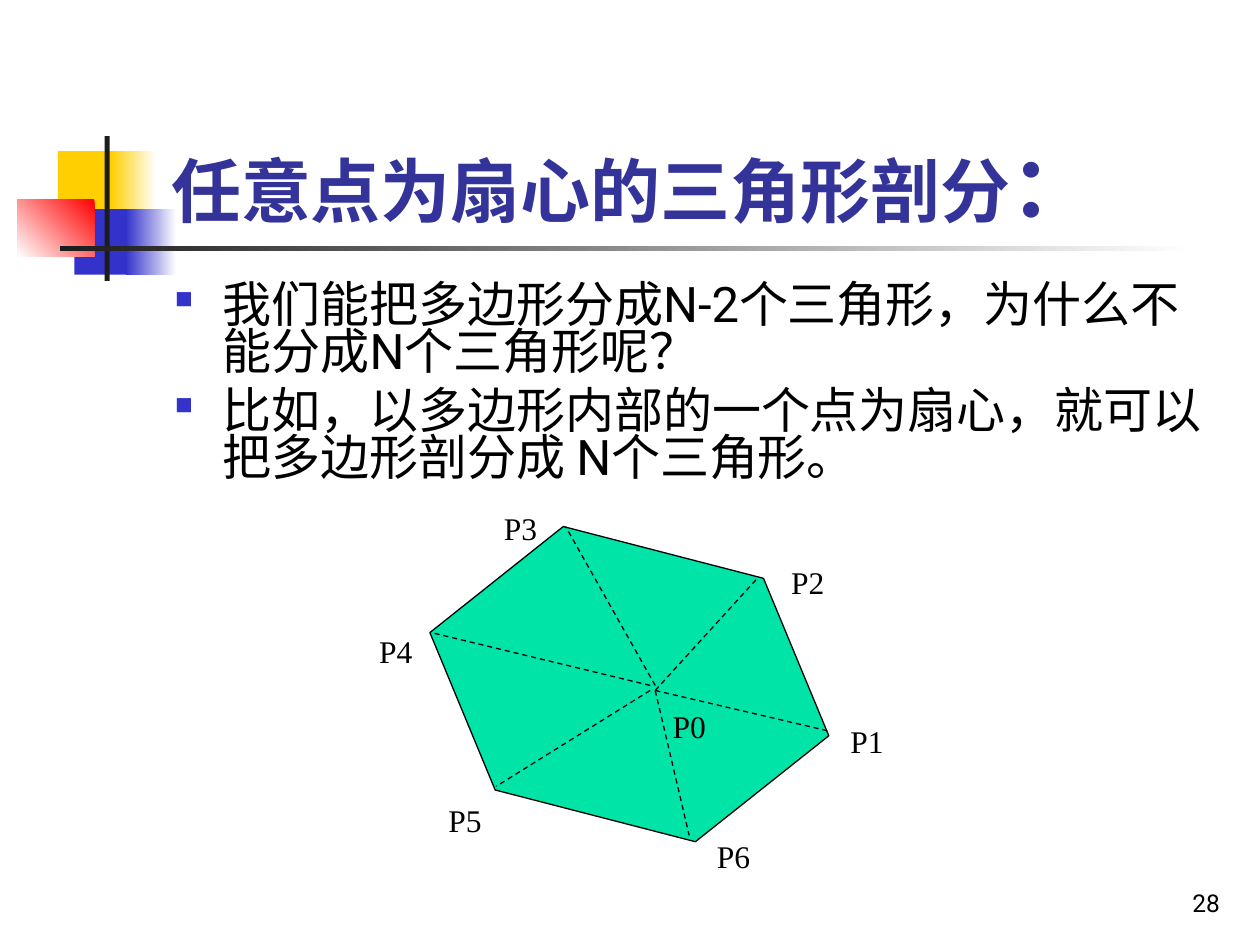
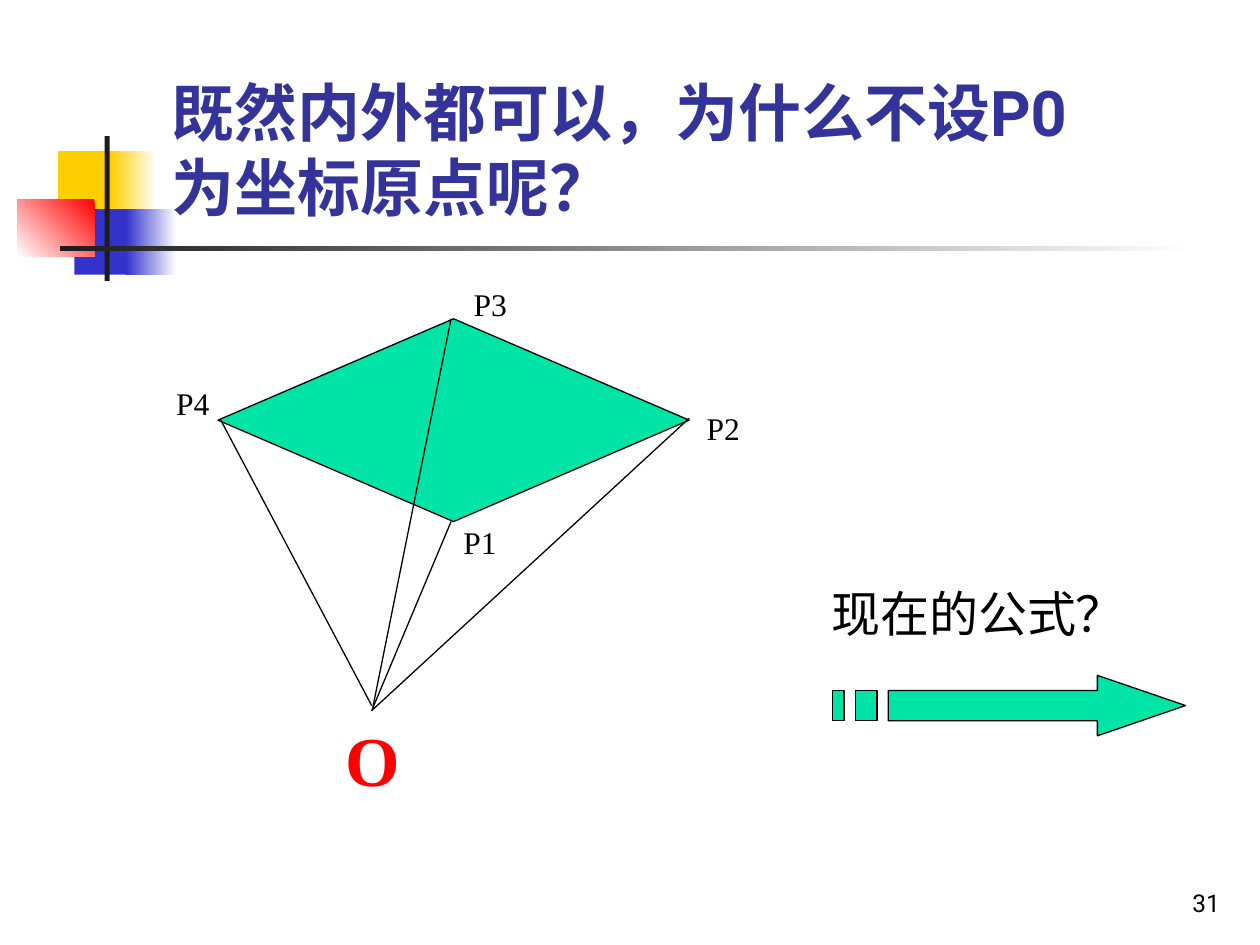
from lxml import etree
from pptx import Presentation
from pptx.dml.color import RGBColor
from pptx.enum.dml import MSO_LINE
from pptx.enum.shapes import MSO_CONNECTOR, MSO_SHAPE
from pptx.enum.text import MSO_ANCHOR, PP_ALIGN
from pptx.oxml.ns import qn
from pptx.util import Inches, Pt

RECT, HEXAGON, DIAMOND = MSO_SHAPE.RECTANGLE, MSO_SHAPE.HEXAGON, MSO_SHAPE.DIAMOND
STRAIGHT, DASH = MSO_CONNECTOR.STRAIGHT, MSO_LINE.DASH
TOP, BOTTOM = MSO_ANCHOR.TOP, MSO_ANCHOR.BOTTOM
LEFT, RIGHT = PP_ALIGN.LEFT, PP_ALIGN.RIGHT

SANS, SERIF = "Roboto", "Times New Roman"
BLACK, WHITE, DARK = "000000", "FFFFFF", "1C1C1C"
YELLOW, BLUE, RED = "FFCF01", "3333CC", "FF0000"
TITLE_COLOR, GREEN = "333399", "00E4A8"

# Decoration on every slide: box, fill (one colour, or start, end, angle)
DECORATION = [
    ((0.46, 1.2, 0.48, 0.52), YELLOW),
    ((0.88, 1.2, 0.36, 0.52), (WHITE, YELLOW, 180)),
    ((0.59, 1.66, 0.46, 0.52), BLUE),
    ((1, 1.66, 0.4, 0.52), (WHITE, BLUE, 180)),
    ((0.14, 1.58, 0.61, 0.46), (RED, WHITE, 225)),
    ((0.83, 1.08, 0.04, 1.15), DARK),
    ((0.48, 1.95, 9, 0.04), (WHITE, DARK, 180)),
]

# Triangle fan around an inner point
FAN_TITLE = [("任意点为扇心的三角形剖分", 40), ("：", 48)]
FAN_POINTS = [
    "我们能把多边形分成N-2个三角形，为什么不能分成N个三角形呢？",
    "比如，以多边形内部的一个点为扇心，就可以把多边形剖分成 N个三角形。",
]
FAN_SPOKES = [
    ((5.2, 5.44), (4.49, 4.18)), ((5.2, 5.48), (6.02, 4.58)),
    ((5.2, 5.48), (6.57, 5.8)), ((5.2, 5.48), (5.47, 6.63)),
    ((5.16, 5.48), (3.94, 6.24)), ((5.16, 5.44), (3.42, 5.02)),
]
FAN_LABELS = {
    "P0": (5.24, 5.56), "P1": (6.65, 5.68), "P2": (6.18, 4.42), "P3": (3.9, 3.99),
    "P4": (2.91, 4.97), "P5": (3.46, 6.31), "P6": (5.59, 6.59),
}

# Triangle fan from the origin
ORIGIN_TITLE = [("既然内外都可以，为什么不设P0为坐标原点呢？", 36)]
ORIGIN_RAYS = [
    ((2.95, 5.64), (5.47, 3.32)), ((2.95, 5.64), (3.58, 4.14)),
    ((2.96, 5.61), (3.58, 2.53)), ((2.95, 5.6), (1.75, 3.33)),
]
ORIGIN_LABELS = {"P1": (3.58, 4.1), "P2": (5.51, 3.2), "P3": (3.66, 2.21), "P4": (1.3, 3)}
ARROW_TOP, ARROW_MID, ARROW_BOTTOM = 5.36, 5.6, 5.84
SHAFT_TOP, SHAFT_BOTTOM = 5.48, 5.72
HEAD_LEFT, HEAD_TIP = 8.71, 9.41
SHAFT_LEFT = 7.05
STRIPES = [(6.61, 6.7), (6.79, 6.96)]


def rgb(color):
    return RGBColor.from_string(color)


def add_text(s, box, paragraphs, size=18, font=SERIF, color=BLACK, bold=False,
             align=LEFT, anchor=TOP, bullets=False):
    """Each paragraph is a string or a list of (text, size) runs."""
    tf = s.shapes.add_textbox(*map(Inches, box)).text_frame
    tf.word_wrap = True
    tf.vertical_anchor = anchor
    for i, runs in enumerate(paragraphs):
        p = tf.paragraphs[0] if i == 0 else tf.add_paragraph()
        p.alignment = align
        for text, run_size in [(runs, size)] if isinstance(runs, str) else runs:
            r = p.add_run()
            r.text = text
            r.font.size, r.font.name, r.font.bold = Pt(run_size), font, bold
            r.font.color.rgb = rgb(color)
        if bullets:
            add_bullet(p)


def add_bullet(p):
    p.line_spacing, p.space_before = 0.8, Pt(7)
    pPr = p._p.get_or_add_pPr()
    pPr.set("marL", str(Inches(0.38)))
    pPr.set("indent", str(-Inches(0.38)))
    bu_color = etree.SubElement(pPr, qn("a:buClr"))
    etree.SubElement(bu_color, qn("a:srgbClr"), val=BLUE)
    etree.SubElement(pPr, qn("a:buSzPct"), val="50000")
    etree.SubElement(pPr, qn("a:buChar"), char="■")


def paint(sp, fill, outline=True):
    sp.shadow.inherit = False
    if isinstance(fill, str):
        sp.fill.solid()
        sp.fill.fore_color.rgb = rgb(fill)
    else:
        *colors, angle = fill
        sp.fill.gradient()
        sp.fill.gradient_angle = angle
        for stop, color in zip(sp.fill.gradient_stops, colors):
            stop.color.rgb = rgb(color)
    if outline:
        sp.line.color.rgb = rgb(BLACK)
        sp.line.width = Pt(0.75)
    else:
        sp.line.fill.background()


def add_shape(s, kind, box, fill, outline=True):
    sp = s.shapes.add_shape(kind, *map(Inches, box))
    paint(sp, fill, outline)
    return sp


def add_lines(s, lines, dash=None):
    for start, end in lines:
        line = s.shapes.add_connector(STRAIGHT, *map(Inches, start + end))
        line.line.color.rgb = rgb(BLACK)
        line.line.width = Pt(0.75)
        if dash:
            line.line.dash_style = dash
        etree.SubElement(line._element.spPr, qn("a:effectLst"))


def add_labels(s, labels):
    for name, (x, y) in labels.items():
        add_text(s, (x, y, 0.59, 0.4), [name])


def add_striped_arrow(s):
    outlines = [[(SHAFT_LEFT, SHAFT_TOP), (HEAD_LEFT, SHAFT_TOP), (HEAD_LEFT, ARROW_TOP),
                 (HEAD_TIP, ARROW_MID), (HEAD_LEFT, ARROW_BOTTOM),
                 (HEAD_LEFT, SHAFT_BOTTOM), (SHAFT_LEFT, SHAFT_BOTTOM)]]
    outlines += [[(x1, SHAFT_TOP), (x2, SHAFT_TOP), (x2, SHAFT_BOTTOM), (x1, SHAFT_BOTTOM)]
                 for x1, x2 in STRIPES]
    builder = None
    for outline in outlines:
        first, *rest = [(Inches(x), Inches(y)) for x, y in outline]
        if builder is None:
            builder = s.shapes.build_freeform(*first)
        else:
            builder.move_to(*first)
        builder.add_line_segments(rest, close=True)
    paint(builder.convert_to_shape(), GREEN)


def new_slide(prs, title, title_box, number):
    s = prs.slides.add_slide(prs.slide_layouts[6])
    for box, fill in DECORATION:
        add_shape(s, RECT, box, fill, outline=False)
    add_text(s, title_box, [title], font=SANS, color=TITLE_COLOR, bold=True, anchor=BOTTOM)
    add_text(s, (7.7, 6.83, 2.08, 0.5), [number], size=14, font=SANS,
             align=RIGHT, anchor=BOTTOM)
    return s


def build_fan_slide(prs):
    s = new_slide(prs, FAN_TITLE, (1.26, 0.91, 8.52, 1), "28")
    add_text(s, (1.29, 2.21, 8.5, 1.86), FAN_POINTS, size=28, font=SANS, bullets=True)
    polygon = add_shape(s, HEXAGON, (3.36, 4.35, 3.27, 2.16), GREEN)
    polygon.adjustments[0] = 0.377
    polygon.rotation = 14.5
    add_lines(s, FAN_SPOKES, DASH)
    add_labels(s, FAN_LABELS)


def build_origin_slide(prs):
    s = new_slide(prs, ORIGIN_TITLE, (1.26, 0.6, 7.6, 1.23), "31")
    add_shape(s, DIAMOND, (1.73, 2.53, 3.74, 1.61), GREEN)
    add_lines(s, ORIGIN_RAYS)
    add_text(s, (2.64, 5.64, 0.59, 0.77), ["O"], size=40, color=RED, bold=True)
    add_labels(s, ORIGIN_LABELS)
    add_text(s, (6.5, 4.58, 2.8, 0.57), ["现在的公式？"], size=28)
    add_striped_arrow(s)


def main():
    prs = Presentation()
    prs.slide_width, prs.slide_height = Inches(10), Inches(7.5)
    build_fan_slide(prs)
    build_origin_slide(prs)
    prs.save("out.pptx")


if __name__ == "__main__":
    main()
